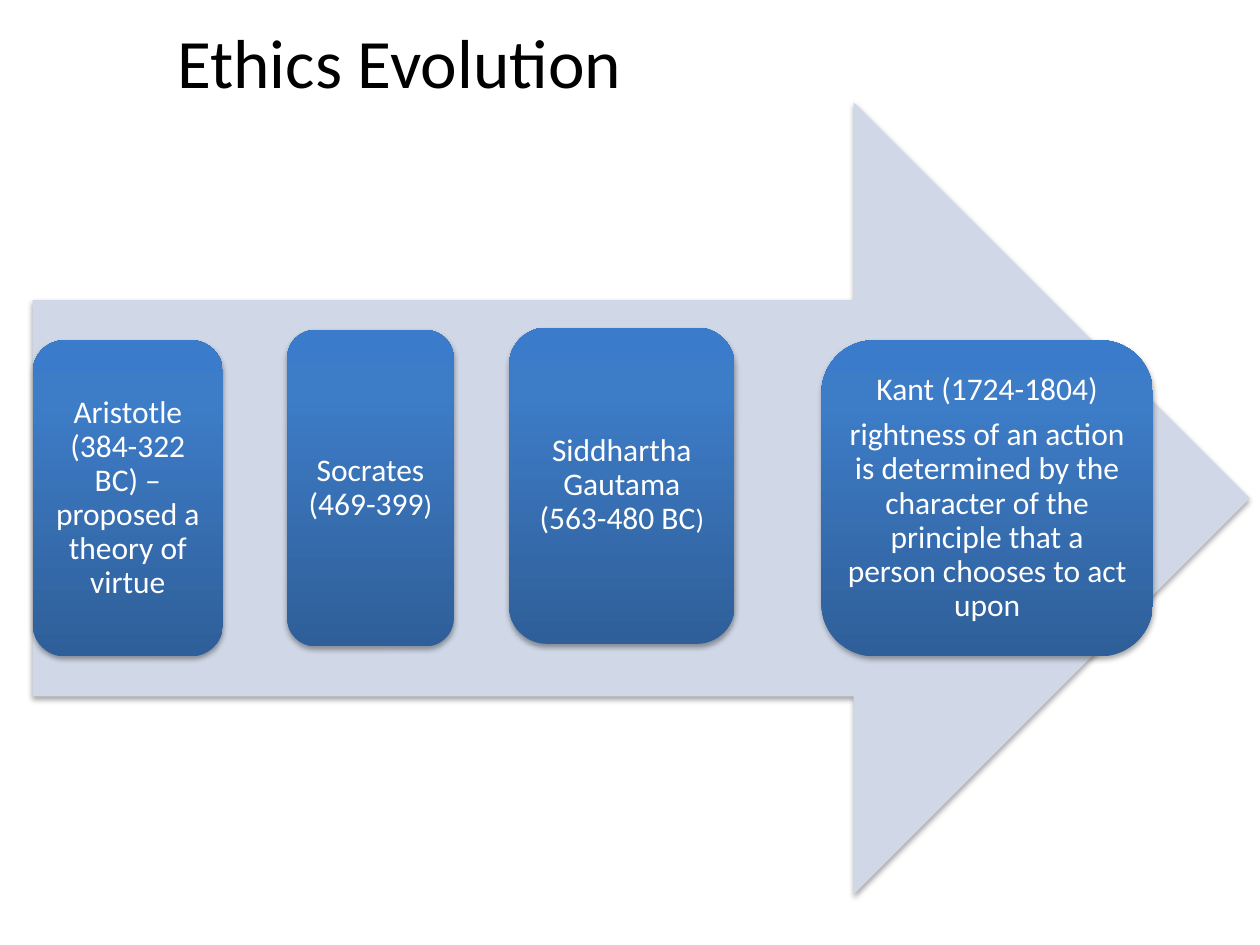
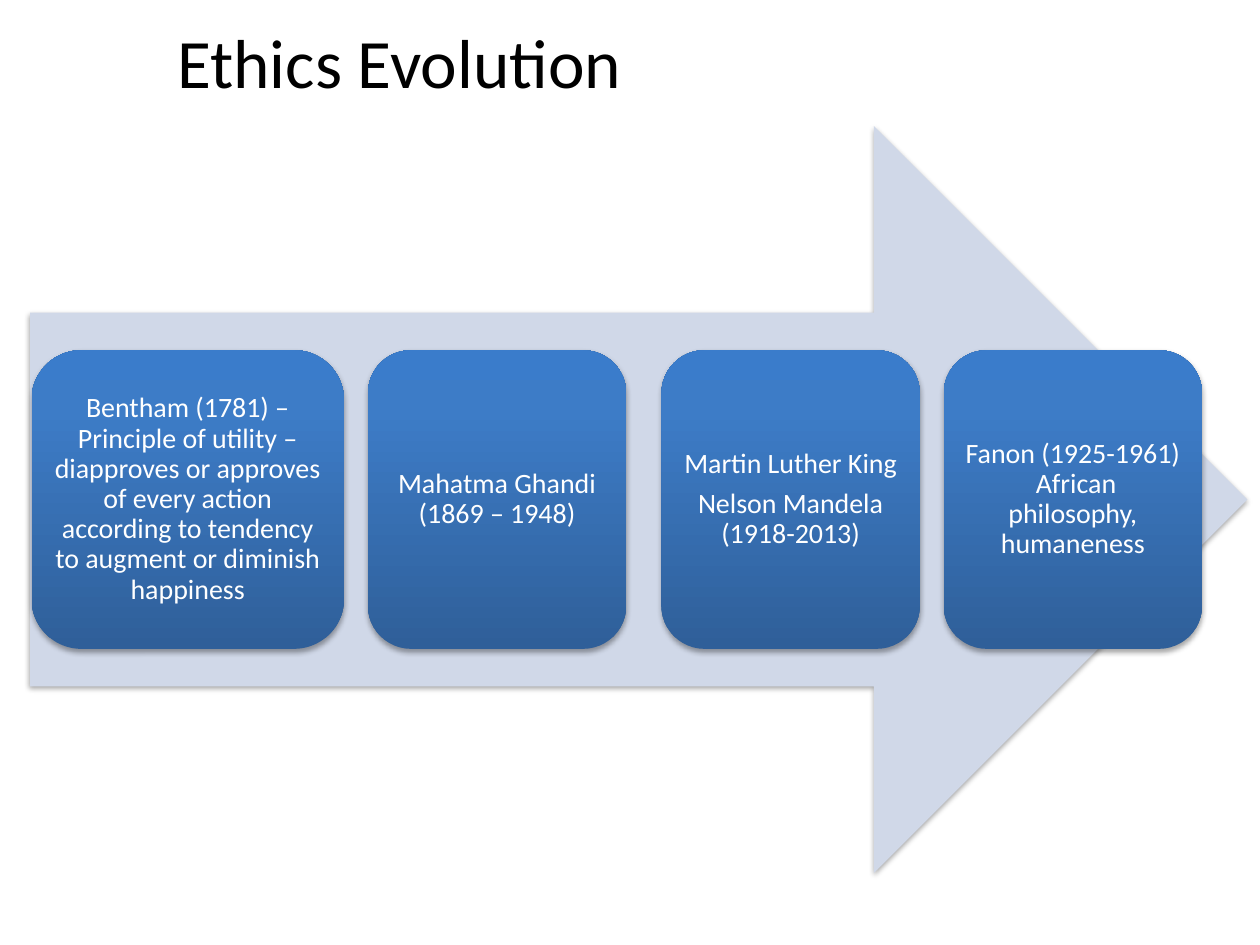
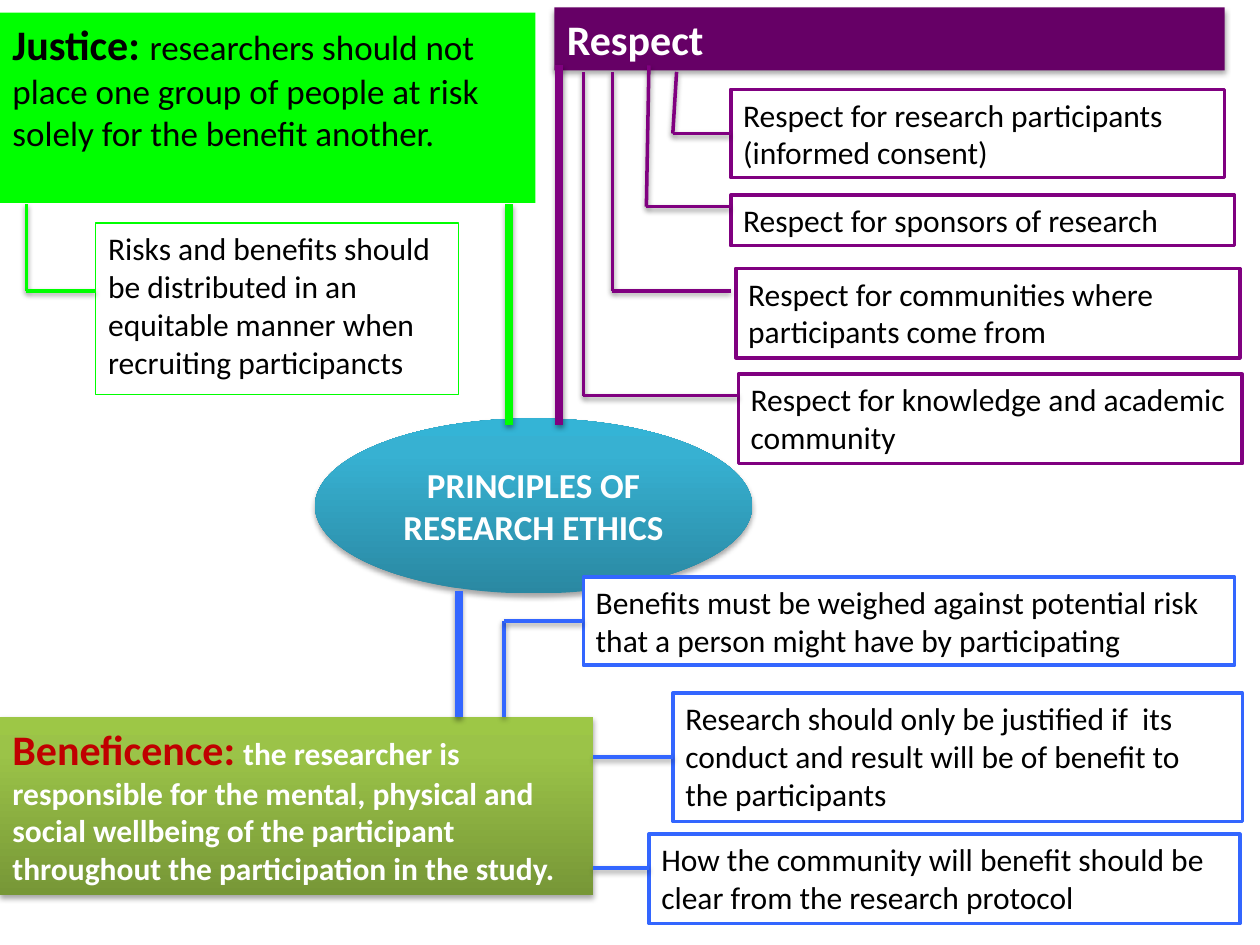
from copy import deepcopy
from itertools import pairwise

from pptx import Presentation
from pptx.dml.color import RGBColor
from pptx.enum.shapes import MSO_CONNECTOR, MSO_SHAPE
from pptx.enum.text import MSO_ANCHOR, MSO_AUTO_SIZE, PP_ALIGN
from pptx.oxml.ns import qn
from pptx.oxml.xmlchemy import OxmlElement
from pptx.util import Inches, Pt

RECT, ROUND = MSO_SHAPE.RECTANGLE, MSO_SHAPE.ROUNDED_RECTANGLE
OVAL, ARROW = MSO_SHAPE.OVAL, MSO_SHAPE.RIGHT_ARROW
STRAIGHT = MSO_CONNECTOR.STRAIGHT
LEFT, CENTER = PP_ALIGN.LEFT, PP_ALIGN.CENTER
TOP, MIDDLE = MSO_ANCHOR.TOP, MSO_ANCHOR.MIDDLE
FIXED = MSO_AUTO_SIZE.NONE

FONT = "Calibri"
BLACK, WHITE, RED = "000000", "FFFFFF", "C00000"
PALE, PLUM, PURPLE = "D0D8E8", "660066", "800080"
BLUE, GREEN = "3366FF", "00FF00"
# Gradients run from the bottom edge to the top
NAVY = ("2F5F99", "3D7CC7", "3A7CCB")
TEAL = ("2A88A2", "37B1D2", "34B4D6")
OLIVE = ("779737", "9BC348", "9DC746")
STOPS = (0, 0.8, 1)
THIN, THICK = 2, 4.5


def rgb(code):
    return RGBColor.from_string(code)


def write(frame, paras, size=18, color=BLACK, bold=False, align=LEFT,
          anchor=TOP, inset=None, tight=False):
    """Each paragraph is a string or a list of (text, changes) runs."""
    frame.word_wrap = True
    frame.auto_size = FIXED
    frame.vertical_anchor = anchor
    if inset is not None:
        frame.margin_left = frame.margin_right = Inches(inset)
        frame.margin_top = frame.margin_bottom = Inches(inset)
    for i, runs in enumerate(paras):
        para = frame.add_paragraph() if i else frame.paragraphs[0]
        para.alignment = align
        if tight:
            para.line_spacing = 0.9
            para.space_after = Pt(0.35 * size)
        for text, changes in [(runs, {})] if isinstance(runs, str) else runs:
            look = {"size": size, "color": color, "bold": bold} | changes
            run = para.add_run()
            run.text = text
            run.font.name = FONT
            run.font.size = Pt(look["size"])
            run.font.bold = look["bold"]
            run.font.color.rgb = rgb(look["color"])


class Deck:
    def __init__(self):
        self.prs = Presentation()
        self.prs.slide_width = Inches(10)
        self.prs.slide_height = Inches(7.5)
        self.slide = None

    def page(self, title=None):
        layout = self.prs.slide_layouts[5 if title else 6]
        self.slide = self.prs.slides.add_slide(layout)
        if title:
            head = self.slide.shapes.title
            head.left, head.top = Inches(0), Inches(0.16)
            head.width, head.height = Inches(6.34), Inches(0.65)
            write(head.text_frame, [title], size=39.6, align=CENTER,
                  anchor=MIDDLE)

    def shade(self, item, alpha=None, gap=1.8):
        """Replace the theme shadow; without alpha there is none."""
        props = item._element.spPr
        effects = OxmlElement("a:effectLst")
        props.append(effects)
        if alpha is None:
            return
        outer = OxmlElement("a:outerShdw")
        for key, value in (("blurRad", Pt(3.1)), ("dist", Pt(gap)),
                           ("dir", 5400000), ("rotWithShape", 0)):
            outer.set(key, str(int(value)))
        tint = OxmlElement("a:srgbClr")
        tint.set("val", BLACK)
        fade = OxmlElement("a:alpha")
        fade.set("val", str(alpha * 1000))
        tint.append(fade)
        outer.append(tint)
        effects.append(outer)

    def paint(self, shape, fill):
        if fill is None:
            shape.fill.background()
        elif isinstance(fill, str):
            shape.fill.solid()
            shape.fill.fore_color.rgb = rgb(fill)
        else:
            shape.fill.gradient()
            shape.fill.gradient_angle = 90
            stops = next(shape._element.spPr.iter(qn("a:gsLst")))
            stops.append(deepcopy(stops[-1]))
            for stop, spot, code in zip(shape.fill.gradient_stops, STOPS, fill):
                stop.position = spot
                stop.color.rgb = rgb(code)

    def shape(self, kind, box, fill, paras=(), line=None, width=THIN,
              shadow=True, **style):
        item = self.slide.shapes.add_shape(kind, *map(Inches, box))
        self.paint(item, fill)
        if line:
            item.line.color.rgb = rgb(line)
            item.line.width = Pt(width)
        else:
            item.line.fill.background()
        self.shade(item, 35 if shadow else None)
        if paras:
            write(item.text_frame, paras, **style)
        return item

    def note(self, box, text, color, fill=WHITE, width=THIN):
        return self.shape(RECT, box, fill, [text], line=color, width=width,
                          shadow=False)

    def route(self, points, color, width=THIN, end=None):
        """Draw straight legs; the last may join the left side of a box."""
        for start, stop in pairwise(points):
            leg = self.slide.shapes.add_connector(
                STRAIGHT, *map(Inches, (*start, *stop)))
            leg.line.color.rgb = rgb(color)
            leg.line.width = Pt(width)
            self.shade(leg, 38, 1.6)
        if end is not None:
            leg.end_connect(end, 1)

    def era(self, arrow, top, height, size, inset, cards):
        self.page("Ethics Evolution")
        self.shape(ARROW, arrow, PALE)
        for left, width, rise, paras in cards:
            self.shape(ROUND, (left, top - rise, width, height), NAVY, paras,
                       size=size, color=WHITE, align=CENTER, anchor=MIDDLE,
                       inset=inset, tight=True)


# Cards: left, width, rise above the row, paragraphs
EARLY = [
    (0.26, 1.51, 0, ["Aristotle (384-322 BC) – proposed a theory of virtue"]),
    (2.28, 1.32, 0.08, [[("Socrates (469-399", {}), (")", {"size": 16})]]),
    (4.04, 1.79, 0.1, [[("Siddhartha Gautama (563-480 BC", {}),
                        (")", {"size": 16})]]),
    (6.52, 2.63, 0, ["Kant (1724-1804)",
                     "rightness of an action is determined by the character "
                     "of the principle that a person chooses to act upon"]),
]
LATER = [
    (0.25, 2.48, 0, ["Bentham (1781) –Principle of utility – diapproves or "
                     "approves of every action according to tendency to "
                     "augment or diminish happiness"]),
    (2.92, 2.05, 0, ["Mahatma Ghandi (1869 – 1948)"]),
    (5.25, 2.05, 0, ["Martin Luther King", "Nelson Mandela (1918-2013)"]),
    (7.49, 2.05, 0, ["Fanon (1925-1961)  African philosophy, humaneness"]),
]
# Notes: box, text, route, whether the route meets the middle of the side
RESPECT = [
    ((5.8, 0.71, 3.92, 0.7),
     "Respect for research participants (informed consent)",
     [(5.37, 0.57), (5.34, 1.06), (5.8, 1.06)], True),
    ((5.8, 1.55, 4, 0.4), "Respect for sponsors of research",
     [(5.15, 0.52), (5.13, 1.64), (5.8, 1.64)], False),
    ((5.84, 2.13, 4, 0.71),
     "Respect for communities where participants come from",
     [(4.86, 0.57), (4.86, 2.31), (5.8, 2.31)], False),
    ((5.86, 2.97, 4, 0.71), "Respect for knowledge and academic community",
     [(4.63, 0.57), (4.63, 3.14), (5.86, 3.14)], False),
]
BENEFIT = [
    ((4.63, 4.58, 5.17, 0.7),
     "Benefits must be weighed against potential risk that a person might "
     "have by participating",
     [(4, 5.69), (4, 4.93), (4.63, 4.93)], True),
    ((5.34, 5.5, 4.52, 1.02),
     "Research should only be justified if  its conduct and result will be "
     "of benefit to the participants",
     [(4.71, 6.01), (5.34, 6.01)], True),
    ((5.15, 6.62, 4.69, 0.71),
     "How the community will benefit should be clear from the research "
     "protocol",
     [(4.71, 6.89), (5.15, 6.89)], False),
]


def ethics(deck):
    deck.page()
    deck.shape(OVAL, (2.5, 3.32, 3.47, 1.39), TEAL,
               ["PRINCIPLES OF RESEARCH ETHICS"], size=20, color=WHITE,
               bold=True, align=CENTER, anchor=MIDDLE)

    # Headings of the three branches
    deck.shape(RECT, (4.4, 0.06, 5.32, 0.5), PLUM, ["Respect"], size=24,
               color=WHITE, bold=True)
    deck.shape(RECT, (0, 5.69, 4.71, 1.41), OLIVE, [[
        ("Beneficence:", {"size": 24, "color": RED}),
        (" ", {"size": 20}),
        ("the researcher is responsible for the mental, physical and social "
         "wellbeing of the participant throughout the participation in the "
         "study.", {})]], color=WHITE, bold=True)
    deck.shape(RECT, (0, 0.1, 4.25, 1.51), GREEN, [[
        ("Justice: ", {"size": 24, "bold": True}),
        ("researchers should not place one group of people at risk solely "
         "for the benefit another.", {})]], size=20, shadow=False)

    # Thick lines to the centre
    for x, start, stop, color in ((4.44, 3.37, 0.52, PURPLE),
                                  (3.64, 4.69, 5.69, BLUE),
                                  (4.04, 1.62, 3.37, GREEN)):
        deck.route([(x, start), (x, stop)], color, THICK)

    # Notes with their thin lines
    for color, notes in ((PURPLE, RESPECT), (BLUE, BENEFIT)):
        for box, text, points, joined in notes:
            note = deck.note(box, text, color)
            deck.route(points, color, end=note if joined else None)
    deck.note((0.76, 1.77, 2.88, 1.36),
              "Risks and benefits should be distributed in an equitable "
              "manner when recruiting participancts", GREEN, None, 0.75)
    deck.route([(0.21, 1.62), (0.21, 2.31), (0.76, 2.31)], GREEN)


def main():
    deck = Deck()
    deck.era((0.26, 0.81, 9.66, 6.29), 2.7, 2.51, 18, 0.07, EARLY)
    deck.era((0.24, 1, 9.66, 5.93), 2.78, 2.37, 16, 0.06, LATER)
    ethics(deck)
    deck.prs.save("out.pptx")


if __name__ == "__main__":
    main()
